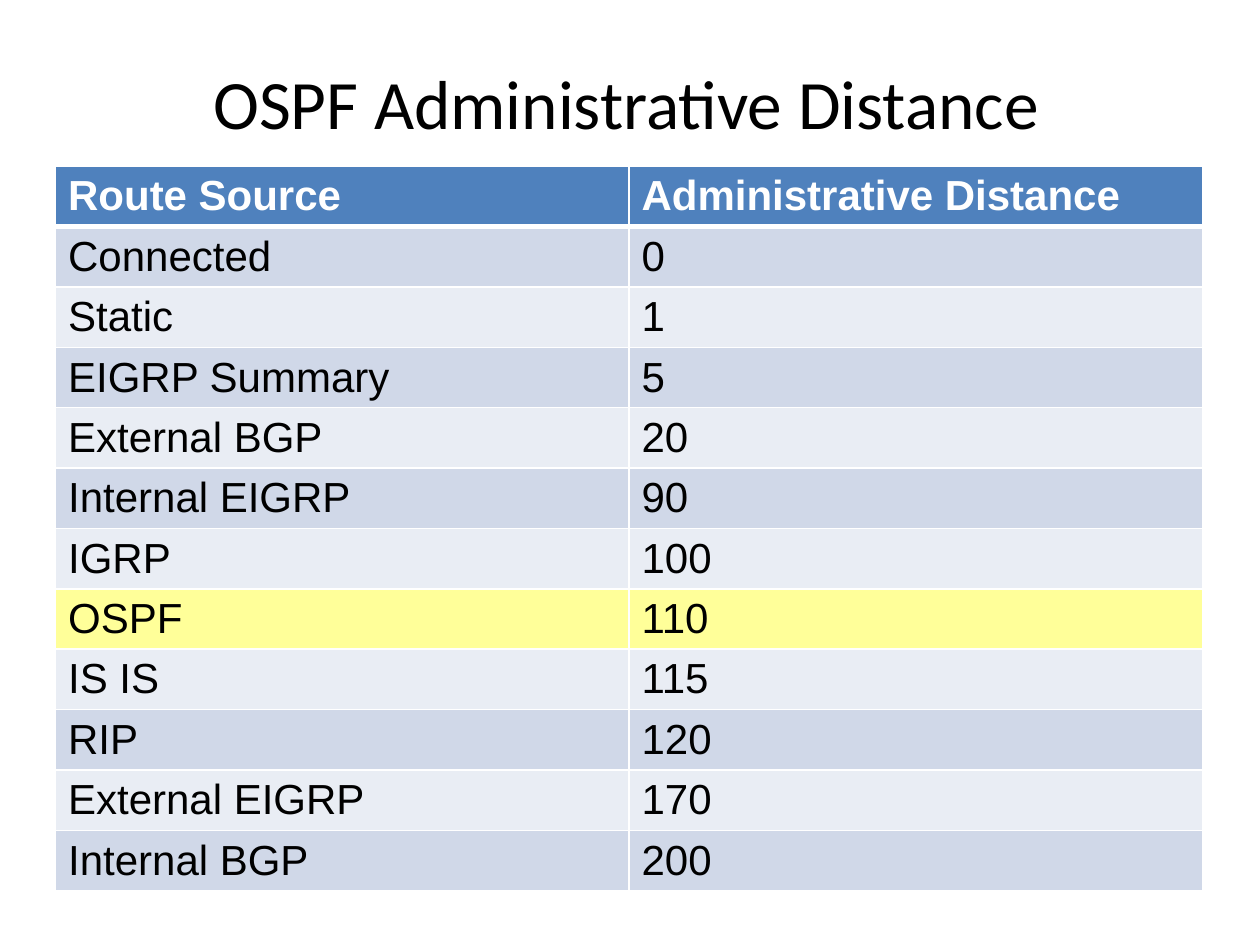
from lxml import etree
from pptx import Presentation
from pptx import util as u
from pptx.dml.color import RGBColor
from pptx.enum import text
from pptx.oxml import ns

WHITE = RGBColor(0xFF, 0xFF, 0xFF)
BLACK = RGBColor(0x00, 0x00, 0x00)
HEADER_BLUE = RGBColor(0x4F, 0x81, 0xBD)
DARK_BAND = RGBColor(0xD0, 0xD8, 0xE8)
LIGHT_BAND = RGBColor(0xE9, 0xED, 0xF4)
HIGHLIGHT = RGBColor(0xFF, 0xFF, 0x99)

HEADER = ("Route Source", "Administrative Distance")
DISTANCES = [
    ("Connected", 0),
    ("Static", 1),
    ("EIGRP Summary", 5),
    ("External BGP", 20),
    ("Internal EIGRP", 90),
    ("IGRP", 100),
    ("OSPF", 110),
    ("IS IS", 115),
    ("RIP", 120),
    ("External EIGRP", 170),
    ("Internal BGP", 200),
]


class SlideBuilder:
    title_font, title_size = "Calibri", u.Pt(39.6)
    table_font, table_size = "Arial", u.Pt(24)
    thin, thick = u.Pt(1), u.Pt(3)

    def __init__(self, slide):
        self.slide = slide

    def add_run(self, paragraph, words, font, size, color, bold=False):
        run = paragraph.add_run()
        run.text = words
        run.font.name = font
        run.font.size = size
        run.font.bold = bold
        run.font.color.rgb = color

    def add_title(self, words, left, top, width, height):
        shape = self.slide.shapes.add_textbox(left, top, width, height)
        frame = shape.text_frame
        frame.word_wrap = True
        frame.vertical_anchor = text.MSO_ANCHOR.MIDDLE
        paragraph = frame.paragraphs[0]
        paragraph.alignment = text.PP_ALIGN.CENTER
        self.add_run(paragraph, words, self.title_font, self.title_size, BLACK)

    def add_borders(self, cell, top, bottom):
        properties = cell._tc.get_or_add_tcPr()
        widths = {"a:lnL": self.thin, "a:lnR": self.thin, "a:lnT": top, "a:lnB": bottom}
        for position, (tag, width) in enumerate(widths.items()):
            line = etree.Element(ns.qn(tag), w=str(int(width)))
            fill = etree.SubElement(line, ns.qn("a:solidFill"))
            etree.SubElement(fill, ns.qn("a:srgbClr"), val=str(WHITE))
            properties.insert(position, line)

    def add_cell(self, cell, words, fill, color, bold, top, bottom):
        cell.fill.solid()
        cell.fill.fore_color.rgb = fill
        cell.margin_top = cell.margin_bottom = u.Cm(0.1)
        cell.vertical_anchor = text.MSO_ANCHOR.MIDDLE
        paragraph = cell.text_frame.paragraphs[0]
        paragraph.alignment = text.PP_ALIGN.LEFT
        self.add_run(paragraph, words, self.table_font, self.table_size, color, bold)
        self.add_borders(cell, top, bottom)

    def add_table(self, rows, highlighted, left, top, column_width, row_height):
        columns = len(rows[0])
        table = self.slide.shapes.add_table(
            len(rows), columns, left, top,
            column_width * columns, row_height * len(rows)).table
        for column in table.columns:
            column.width = column_width
        for index, values in enumerate(rows):
            table.rows[index].height = row_height
            is_header = index == 0
            if is_header:
                fill = HEADER_BLUE
            elif values[0] == highlighted:
                fill = HIGHLIGHT
            else:
                fill = DARK_BAND if index % 2 else LIGHT_BAND
            for column, value in enumerate(values):
                self.add_cell(
                    table.cell(index, column), str(value), fill,
                    WHITE if is_header else BLACK, is_header,
                    top=self.thick if index == 1 else self.thin,
                    bottom=self.thick if is_header else self.thin)


def main():
    presentation = Presentation()
    presentation.slide_width, presentation.slide_height = u.Cm(25.4), u.Cm(19.05)
    builder = SlideBuilder(presentation.slides.add_slide(presentation.slide_layouts[6]))

    # Title
    builder.add_title("OSPF Administrative Distance",
                      u.Cm(0.79), u.Cm(1.02), u.Cm(23.67), u.Cm(2.06))

    # Distances by route source
    builder.add_table([HEADER, *DISTANCES], "OSPF",
                      u.Cm(1.12), u.Cm(3.35), u.Cm(11.56), u.Cm(1.2))

    presentation.save("out.pptx")


if __name__ == "__main__":
    main()
